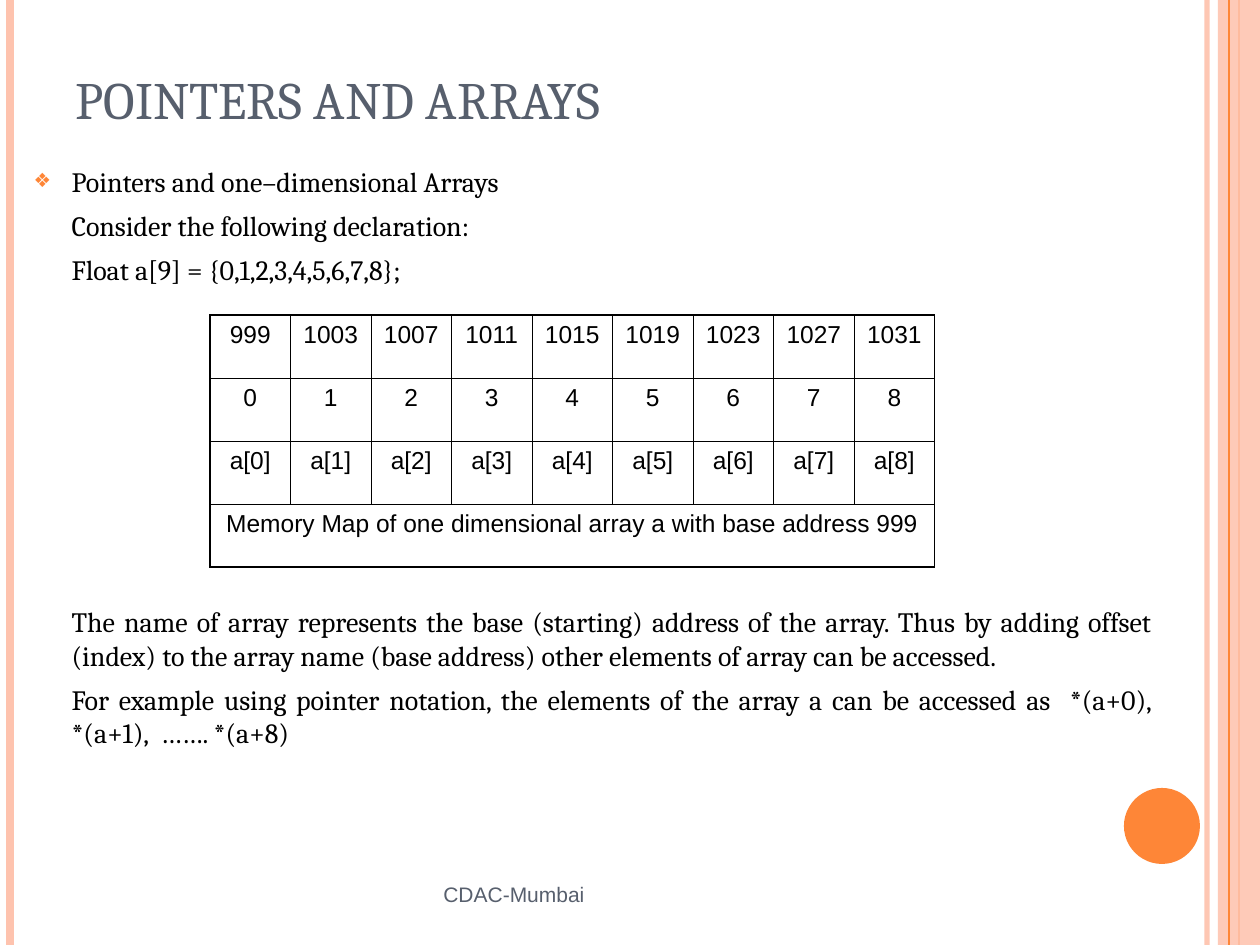
from lxml.etree import SubElement
from pptx import Presentation
from pptx.dml.color import RGBColor
from pptx.enum.shapes import MSO_CONNECTOR, MSO_SHAPE
from pptx.enum.text import MSO_ANCHOR, MSO_AUTO_SIZE, PP_ALIGN
from pptx.oxml import parse_xml
from pptx.oxml.ns import nsdecls, qn
from pptx.util import Emu, Pt

PIXEL = 914400 / 126
SLIDE_WIDTH, SLIDE_HEIGHT = 1260, 945

PEACH = RGBColor(0xFE, 0xC3, 0xAE)
ORANGE = RGBColor(0xFE, 0x86, 0x37)
SLATE = RGBColor(0x57, 0x5F, 0x6D)
BLACK = RGBColor(0, 0, 0)

TITLE_FORMAT = {"name": "Cambria", "size": Pt(30), "color": SLATE}
BODY_FORMAT = {"name": "Cambria", "size": Pt(16), "color": BLACK}
TABLE_FORMAT = {"name": "Arial", "size": Pt(14), "color": BLACK}
FOOTER_FORMAT = {"name": "Arial", "size": Pt(12), "color": SLATE}

HANGING = 38
TABLE_GAP = 182  # points between the declaration and the text below the table
OUTER_BORDER, INNER_BORDER = 1.08, 0.45

# Text, space before in points, alignment, bulleted
BODY_PARAGRAPHS = [
    ("Pointers and one–dimensional Arrays", 0, PP_ALIGN.LEFT, True),
    ("Consider the following declaration:", 6, PP_ALIGN.LEFT, False),
    ("Float a[9] = {0,1,2,3,4,5,6,7,8};", 6, PP_ALIGN.LEFT, False),
    ("The name of array represents the base (starting) address of the array. "
     "Thus by adding offset (index) to the array name (base address) other "
     "elements of array can be accessed.", TABLE_GAP, PP_ALIGN.JUSTIFY, False),
    ("For example using pointer notation, the elements of the array a can be "
     "accessed as  *(a+0), *(a+1),  ……. *(a+8)", 6, PP_ALIGN.JUSTIFY, False),
]

ELEMENT_COUNT = 9
MEMORY_ROWS = [
    [str(999 + 4 * index) for index in range(ELEMENT_COUNT)],
    [str(index) for index in range(ELEMENT_COUNT)],
    [f"a[{index}]" for index in range(ELEMENT_COUNT)],
    ["Memory Map of one dimensional array a with base address 999"],
]


def px(value):
    return Emu(round(value * PIXEL))


def format_font(font, values):
    for name, value in values.items():
        if name == "color":
            font.color.rgb = value
        else:
            setattr(font, name, value)


def place(shape, left, top, width, height):
    bounds = {"left": left, "top": top, "width": width, "height": height}
    for name, value in bounds.items():
        setattr(shape, name, px(value))


def set_opacity(element, percent):
    color = next(element.iter(qn("a:srgbClr")))
    SubElement(color, qn("a:alpha"), val=str(percent * 1000))


def add_vertical_line(slide, x, color, width, opacity=100):
    line = slide.shapes.add_connector(
        MSO_CONNECTOR.STRAIGHT, px(x), 0, px(x), px(SLIDE_HEIGHT))
    line.line.color.rgb = color
    line.line.width = Pt(width)
    properties = line._element.spPr
    SubElement(properties, qn("a:effectLst"))
    if opacity < 100:
        set_opacity(properties, opacity)


def add_plain_shape(slide, kind, bounds, color, opacity=100):
    shape = slide.shapes.add_shape(kind, *map(px, bounds))
    shape.shadow.inherit = False
    shape.fill.solid()
    shape.fill.fore_color.rgb = color
    shape.line.fill.background()
    if opacity < 100:
        set_opacity(shape._element.spPr, opacity)


def set_text_frame(shape, anchor):
    frame = shape.text_frame
    values = {"word_wrap": True, "auto_size": MSO_AUTO_SIZE.NONE,
              "vertical_anchor": anchor}
    for name, value in values.items():
        setattr(frame, name, value)
    return frame


def write_line(paragraph, text, alignment, font_format):
    run = paragraph.add_run()
    run.text = text
    paragraph.alignment = alignment
    format_font(run.font, font_format)


def set_bullet(paragraph, bulleted):
    properties = paragraph._p.get_or_add_pPr()
    properties.set("marL", str(px(HANGING)))
    properties.set("indent", str(px(-HANGING if bulleted else 0)))
    if not bulleted:
        SubElement(properties, qn("a:buNone"))
        return
    color = SubElement(properties, qn("a:buClr"))
    SubElement(color, qn("a:srgbClr"), val=str(ORANGE))
    SubElement(properties, qn("a:buSzPct"), val="70000")
    SubElement(properties, qn("a:buChar"), char="❖")


def fill_title(slide):
    title = slide.shapes.title
    place(title, 63, 38, 1134, 98)
    frame = set_text_frame(title, MSO_ANCHOR.BOTTOM)
    write_line(frame.paragraphs[0], "POINTERS AND ARRAYS", PP_ALIGN.LEFT,
               TITLE_FORMAT)


def fill_body(slide):
    body = slide.placeholders[1]
    place(body, 21, 158, 1144, 687)
    frame = set_text_frame(body, MSO_ANCHOR.TOP)
    for index, (text, space, alignment, bulleted) in enumerate(BODY_PARAGRAPHS):
        paragraph = frame.add_paragraph() if index else frame.paragraphs[0]
        set_bullet(paragraph, bulleted)
        paragraph.space_before = Pt(space)
        write_line(paragraph, text, alignment, BODY_FORMAT)


def set_borders(cell, widths):
    properties = cell._tc.get_or_add_tcPr()
    for index, (side, width) in enumerate(widths.items()):
        properties.insert(index, parse_xml(
            f'<a:ln{side} {nsdecls("a")} w="{Pt(width)}"><a:solidFill>'
            f'<a:srgbClr val="{BLACK}"/></a:solidFill></a:ln{side}>'))


def add_memory_table(slide):
    row_count = len(MEMORY_ROWS)
    table = slide.shapes.add_table(
        row_count, ELEMENT_COUNT, px(210), px(315), px(725), px(252)).table
    table.first_row = table.horz_banding = False
    last_row, last_column = row_count - 1, ELEMENT_COUNT - 1
    table.cell(last_row, 0).merge(table.cell(last_row, last_column))

    def border(is_outer):
        return OUTER_BORDER if is_outer else INNER_BORDER

    for row in range(row_count):
        for column in range(ELEMENT_COUNT):
            cell = table.cell(row, column)
            cell.fill.background()
            set_borders(cell, {
                "L": border(column == 0), "R": border(column == last_column),
                "T": border(row == 0), "B": border(row == last_row)})
        for column, text in enumerate(MEMORY_ROWS[row]):
            paragraph = table.cell(row, column).text_frame.paragraphs[0]
            write_line(paragraph, text, PP_ALIGN.CENTER, TABLE_FORMAT)


def add_footer(slide):
    footer = slide.shapes.add_textbox(*map(px, (431, 861, 399, 66)))
    frame = set_text_frame(footer, MSO_ANCHOR.MIDDLE)
    write_line(frame.paragraphs[0], "CDAC-Mumbai", PP_ALIGN.LEFT, FOOTER_FORMAT)


def main():
    presentation = Presentation()
    presentation.slide_width = px(SLIDE_WIDTH)
    presentation.slide_height = px(SLIDE_HEIGHT)
    slide = presentation.slides.add_slide(presentation.slide_layouts[1])

    # Side bands and circle
    add_vertical_line(slide, 1207, PEACH, 3, opacity=93)
    add_vertical_line(slide, 10, PEACH, 4.5)
    add_vertical_line(slide, 1239, ORANGE, 1.5)
    add_plain_shape(slide, MSO_SHAPE.RECTANGLE, (1218, 0, 42, SLIDE_HEIGHT),
                    PEACH, opacity=87)
    add_vertical_line(slide, 1229, ORANGE, 0.75)
    add_plain_shape(slide, MSO_SHAPE.OVAL, (1124, 788, 76, 76), ORANGE)

    # Content
    fill_title(slide)
    fill_body(slide)
    add_memory_table(slide)
    add_footer(slide)
    presentation.save("out.pptx")


if __name__ == "__main__":
    main()
